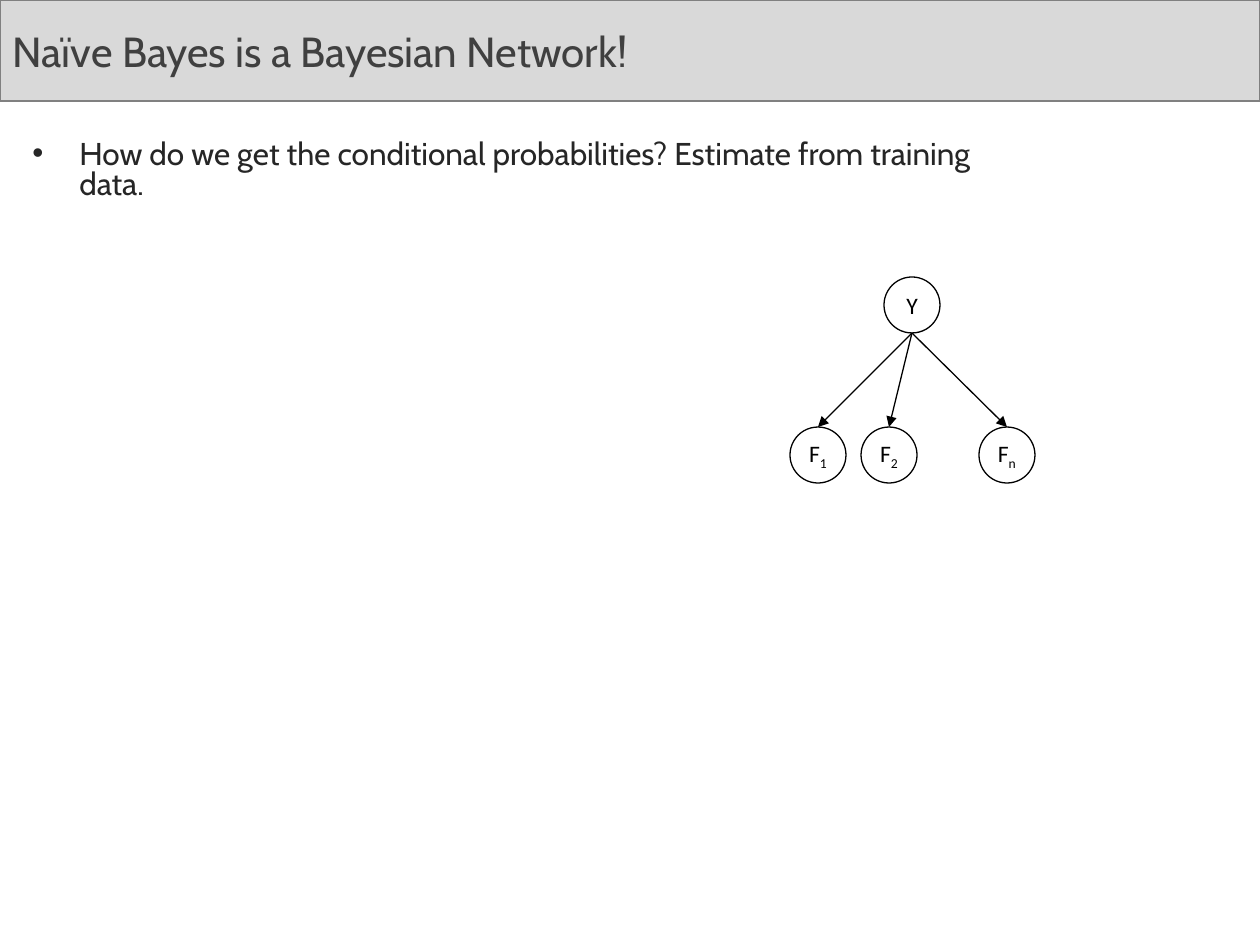
from pptx import Presentation
from pptx.dml.color import RGBColor
from pptx.enum.shapes import MSO_CONNECTOR as Connector, MSO_SHAPE as Shape
from pptx.enum.text import MSO_ANCHOR as Anchor, MSO_AUTO_SIZE as AutoSize, PP_ALIGN as Align
from pptx.oxml.ns import qn
from pptx.util import Emu, Pt
from lxml.etree import SubElement

PX = 914400 / 126
TITLE_ONLY = 5


def px(length):
    return Emu(round(length * PX))


def color(value):
    return RGBColor.from_string(value)


def apply(target, values):
    for key, value in values.items():
        setattr(target, key, value)


class NetworkSlide:
    """Draws titles, bullets, nodes and arrows in one style on a slide."""

    HEADING = {"name": "Cabin", "size": Pt(24), "bold": False}
    BODY = {"name": "Cabin", "size": Pt(18)}
    NODE = {"name": "Calibri", "size": Pt(13.5)}
    DIAMETER = 56

    def __init__(self, deck):
        self.slide = deck.slides.add_slide(deck.slide_layouts[TITLE_ONLY])
        self.network = None

    def font(self, run, values, ink):
        apply(run.font, values)
        run.font.color.rgb = color(ink)

    def outline(self, line, ink):
        line.color.rgb = color(ink)
        line.width = Pt(0.75)

    def place(self, part, left, top, width, height):
        apply(part, {"left": px(left), "top": px(top), "width": px(width), "height": px(height)})

    def title(self, text, *box):
        heading = self.slide.shapes.title
        self.place(heading, *box)
        heading.fill.solid()
        heading.fill.fore_color.rgb = color("D9D9D9")
        self.outline(heading.line, "808080")
        frame = heading.text_frame
        apply(frame, {"text": text, "vertical_anchor": Anchor.MIDDLE,
                      "word_wrap": True, "auto_size": AutoSize.NONE})
        frame.paragraphs[0].alignment = Align.LEFT
        self.font(frame.paragraphs[0].runs[0], self.HEADING, "404040")

    def bullet(self, text, *box):
        frame = self.slide.shapes.add_textbox(*map(px, box)).text_frame
        frame.word_wrap = True
        paragraph = frame.paragraphs[0]
        paragraph.line_spacing = 0.8
        properties = paragraph._p.get_or_add_pPr()
        properties.set("marL", str(px(47)))
        properties.set("indent", str(px(-47)))
        SubElement(properties, qn("a:buFont"), typeface="Arial")
        SubElement(properties, qn("a:buChar"), char="•")
        run = paragraph.add_run()
        run.text = text
        self.font(run, self.BODY, "262626")

    def start_network(self):
        self.network = self.slide.shapes.add_group_shape().shapes

    def node(self, center, top, letter, index=""):
        size = px(self.DIAMETER)
        circle = self.network.add_shape(
            Shape.OVAL, px(center - self.DIAMETER // 2), px(top), size, size)
        circle.shadow.inherit = False
        circle.fill.background()
        self.outline(circle.line, "000000")
        frame = circle.text_frame
        apply(frame, {"vertical_anchor": Anchor.MIDDLE, "word_wrap": False})
        paragraph = frame.paragraphs[0]
        paragraph.alignment = Align.CENTER
        for text, baseline in ((letter, 0), (index, -25000)):
            if text:
                run = paragraph.add_run()
                run.text = text
                self.font(run, self.NODE, "000000")
                if baseline:
                    run._r.get_or_add_rPr().set("baseline", str(baseline))

    def arrow(self, *ends):
        edge = self.network.add_connector(Connector.STRAIGHT, *map(px, ends))
        self.outline(edge.line, "000000")
        SubElement(edge.line._get_or_add_ln(), qn("a:tailEnd"), type="triangle")
        SubElement(edge._element.spPr, qn("a:effectLst"))


def main():
    deck = Presentation()
    apply(deck, {"slide_width": px(1260), "slide_height": px(945)})
    page = NetworkSlide(deck)
    page.title("Naïve Bayes is a Bayesian Network!", 0, 0, 1260, 101)
    page.bullet("How do we get the conditional probabilities? Estimate from training data.",
                20, 135, 1028, 798)

    class_x, class_y, feature_y = 912, 277, 427
    page.start_network()
    page.node(class_x, class_y, "Y")
    for feature_x, index in ((818, "1"), (889, "2"), (1007, "n")):
        page.node(feature_x, feature_y, "F", index)
        page.arrow(class_x, class_y + page.DIAMETER, feature_x, feature_y)
    deck.save("out.pptx")


if __name__ == "__main__":
    main()
